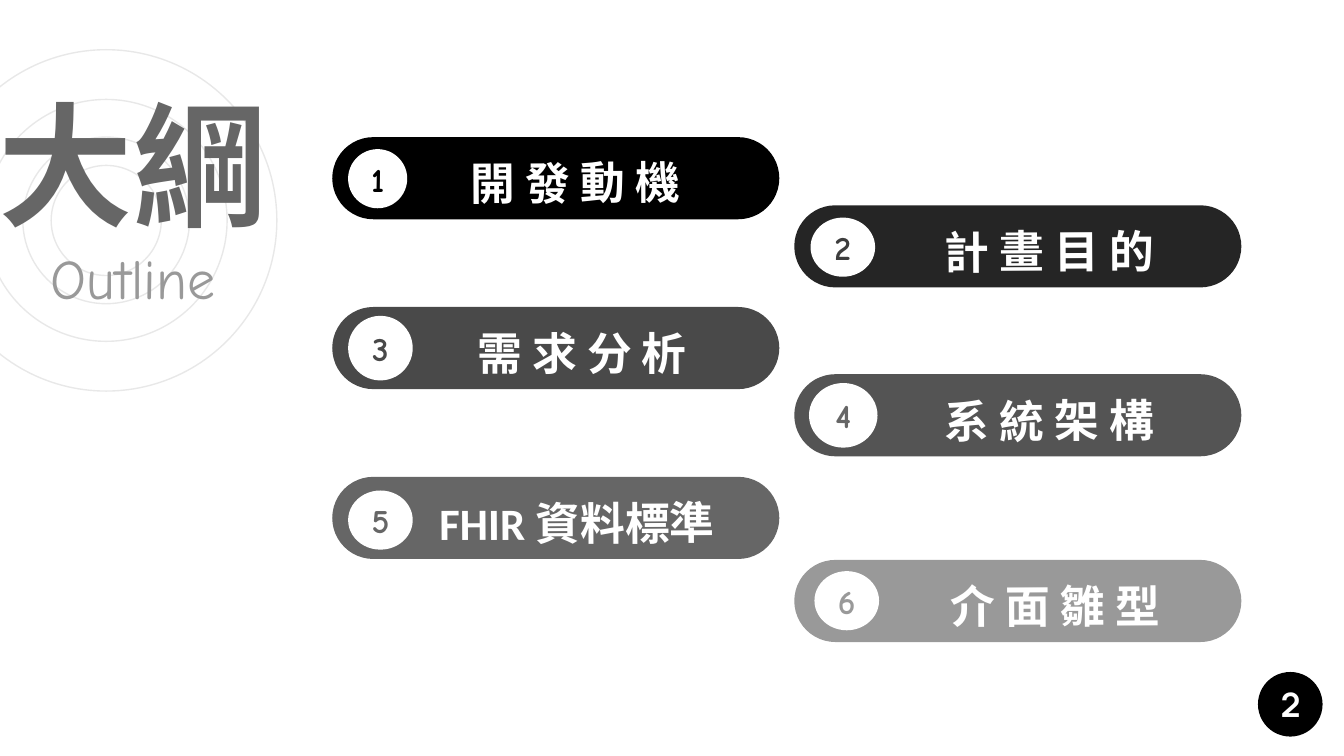
from dataclasses import dataclass

from pptx import Presentation
from pptx.dml.color import RGBColor
from pptx.enum.shapes import MSO_SHAPE
from pptx.enum.text import MSO_ANCHOR, PP_ALIGN
from pptx.util import Pt


@dataclass(frozen=True)
class Theme:
    white: str = "FFFFFF"
    black: str = "000000"
    ring: str = "E8E8E8"
    title: str = "666666"
    subtitle: str = "999999"
    heading_font: str = "Calibri"
    number_font: str = "Comic Neue"
    page_font: str = "Manrope"
    title_size: int = 72
    subtitle_size: int = 30
    label_size: int = 24
    number_size: int = 18


@dataclass(frozen=True)
class Topic:
    number: str
    text: str
    left: float
    top: float
    fill: str
    number_color: str
    badge: tuple
    label: tuple
    align: PP_ALIGN = PP_ALIGN.CENTER
    tilt: float = -0.3


THEME = Theme()
LEFT, RIGHT = 178, 425.5
PILL_WIDTH, PILL_HEIGHT = 239.5, 44
RING_CENTER = (56.9, 118.1)
RING_DIAMETERS = (182.9, 129.6, 89.3, 59)
PAGE_BADGE = (673.9, 360, 34.6, 34.6)

# Badge and label boxes are (left, top, width, height).
TOPICS = (
    Topic("1", "開 發 動 機", LEFT, 73.5, "000000", "000000",
          (186.5, 79.9, 31.7, 31.7), (216, 79.9, 184.3, 31)),
    Topic("2", "計 畫 目 的", RIGHT, 110, "252525", "3D3D3D",
          (434.2, 116.6, 34.6, 31.7), (470.2, 116.6, 184.3, 31)),
    Topic("3", "需 求 分 析", LEFT, 164.5, "494949", "494949",
          (186.5, 169.2, 34.6, 34.6), (223.2, 171.4, 177.1, 31), tilt=0),
    Topic("4", "系 統 架 構", RIGHT, 200.5, "545454", "666666",
          (433.4, 205.2, 36.7, 34.6), (470.2, 207.4, 184.3, 31)),
    Topic("5", "FHIR 資料標準", LEFT, 255.5, "666666", "666666",
          (186.5, 262.8, 34.6, 31.7), (228.2, 262.1, 188.6, 31),
          align=PP_ALIGN.LEFT),
    Topic("6", "介 面 雛 型", RIGHT, 300, "999999", "999999",
          (436.3, 306, 34.6, 31.7), (473, 306.7, 184.3, 31)),
)


def format_para(para, size, font, color, bold=True, align=PP_ALIGN.CENTER):
    para.alignment = align
    for span in para.runs:
        span.font.size = Pt(size)
        span.font.name = font
        span.font.bold = bold
        span.font.color.rgb = RGBColor.from_string(color)


def prepare_frame(frame, anchor):
    frame.word_wrap = True
    frame.vertical_anchor = anchor
    frame.margin_left = frame.margin_right = Pt(7.2)
    frame.margin_top = frame.margin_bottom = Pt(7.2)


def add_text(page, box, text, anchor=MSO_ANCHOR.MIDDLE):
    shape = page.shapes.add_textbox(*map(Pt, box))
    prepare_frame(shape.text_frame, anchor)
    shape.text_frame.text = text
    return shape


def add_filled(page, kind, box, fill):
    shape = page.shapes.add_shape(kind, *map(Pt, box))
    shape.shadow.inherit = False
    shape.fill.solid()
    shape.fill.fore_color.rgb = RGBColor.from_string(fill)
    shape.line.fill.background()
    return shape


def add_badge(page, box, fill, number, font, color):
    """Add a numbered circle."""
    badge = add_filled(page, MSO_SHAPE.OVAL, box, fill)
    prepare_frame(badge.text_frame, MSO_ANCHOR.MIDDLE)
    badge.text_frame.text = number
    format_para(badge.text_frame.paragraphs[0], THEME.number_size, font, color)


def add_rings(page):
    center_x, center_y = RING_CENTER
    for diameter in RING_DIAMETERS:
        box = (center_x - diameter / 2, center_y - diameter / 2, diameter, diameter)
        ring = page.shapes.add_shape(MSO_SHAPE.OVAL, *map(Pt, box))
        ring.shadow.inherit = False
        ring.fill.background()
        ring.line.color.rgb = RGBColor.from_string(THEME.ring)
        ring.line.width = Pt(0.75)


def add_title(page):
    title = add_text(page, (-22.3, 36.7, 187.2, 136), "大綱\nOutline", MSO_ANCHOR.TOP)
    heading, subtitle = title.text_frame.paragraphs
    format_para(heading, THEME.title_size, THEME.heading_font, THEME.title)
    format_para(subtitle, THEME.subtitle_size, THEME.number_font,
                THEME.subtitle, bold=False)


def add_topic(page, topic):
    pill_box = (topic.left, topic.top, PILL_WIDTH, PILL_HEIGHT)
    pill = add_filled(page, MSO_SHAPE.ROUNDED_RECTANGLE, pill_box, topic.fill)
    pill.adjustments[0] = 0.5
    add_badge(page, topic.badge, THEME.white, topic.number,
              THEME.number_font, topic.number_color)
    label = add_text(page, topic.label, topic.text)
    label.rotation = topic.tilt
    para = label.text_frame.paragraphs[0]
    para.line_spacing = 1.15
    format_para(para, THEME.label_size, THEME.heading_font, THEME.white,
                align=topic.align)


def main():
    deck = Presentation()
    deck.slide_width, deck.slide_height = Pt(720), Pt(405)
    page = deck.slides.add_slide(deck.slide_layouts[6])
    add_rings(page)
    add_badge(page, PAGE_BADGE, THEME.black, "2", THEME.page_font, THEME.white)
    add_title(page)
    for topic in TOPICS:
        add_topic(page, topic)
    deck.save("out.pptx")


if __name__ == "__main__":
    main()
